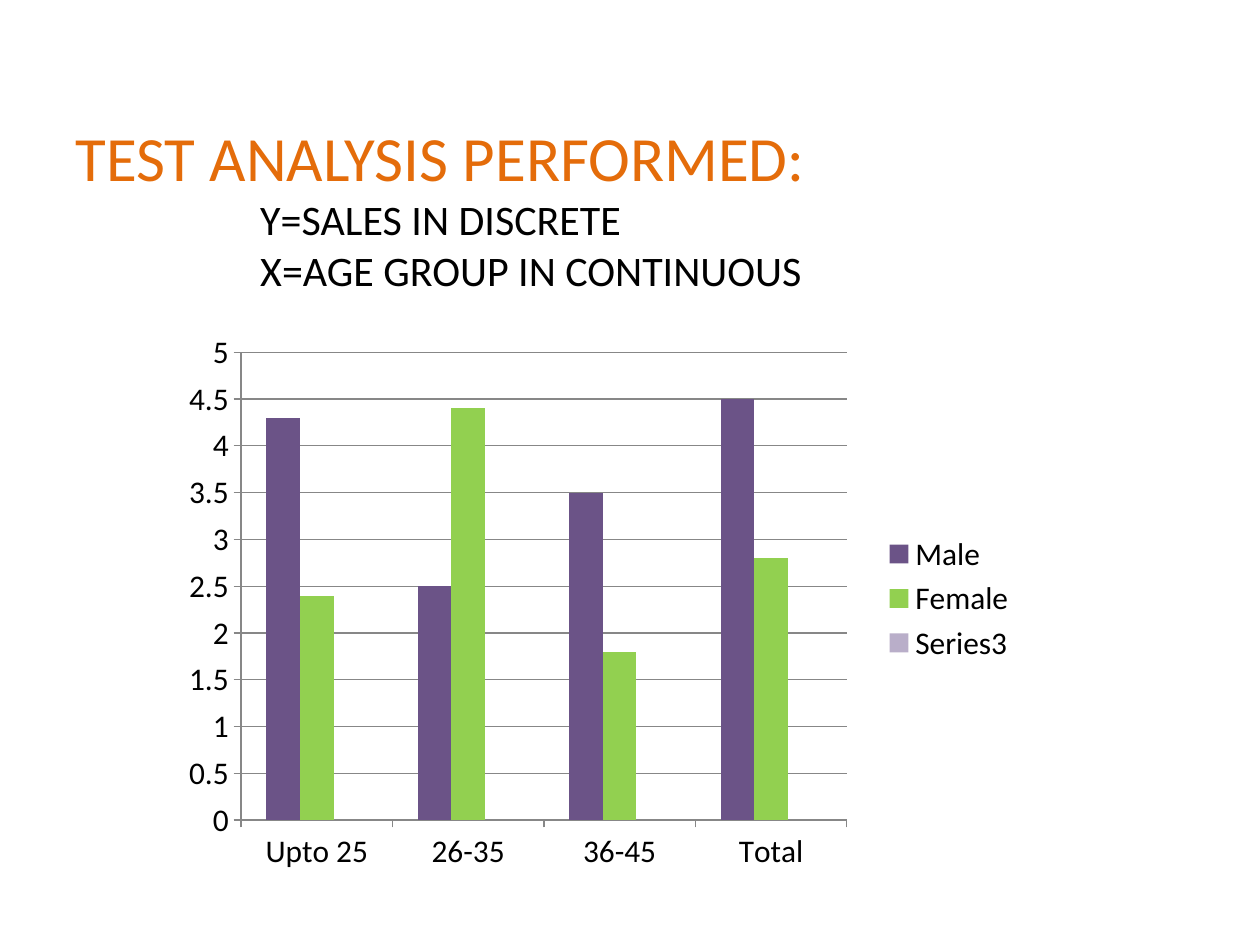
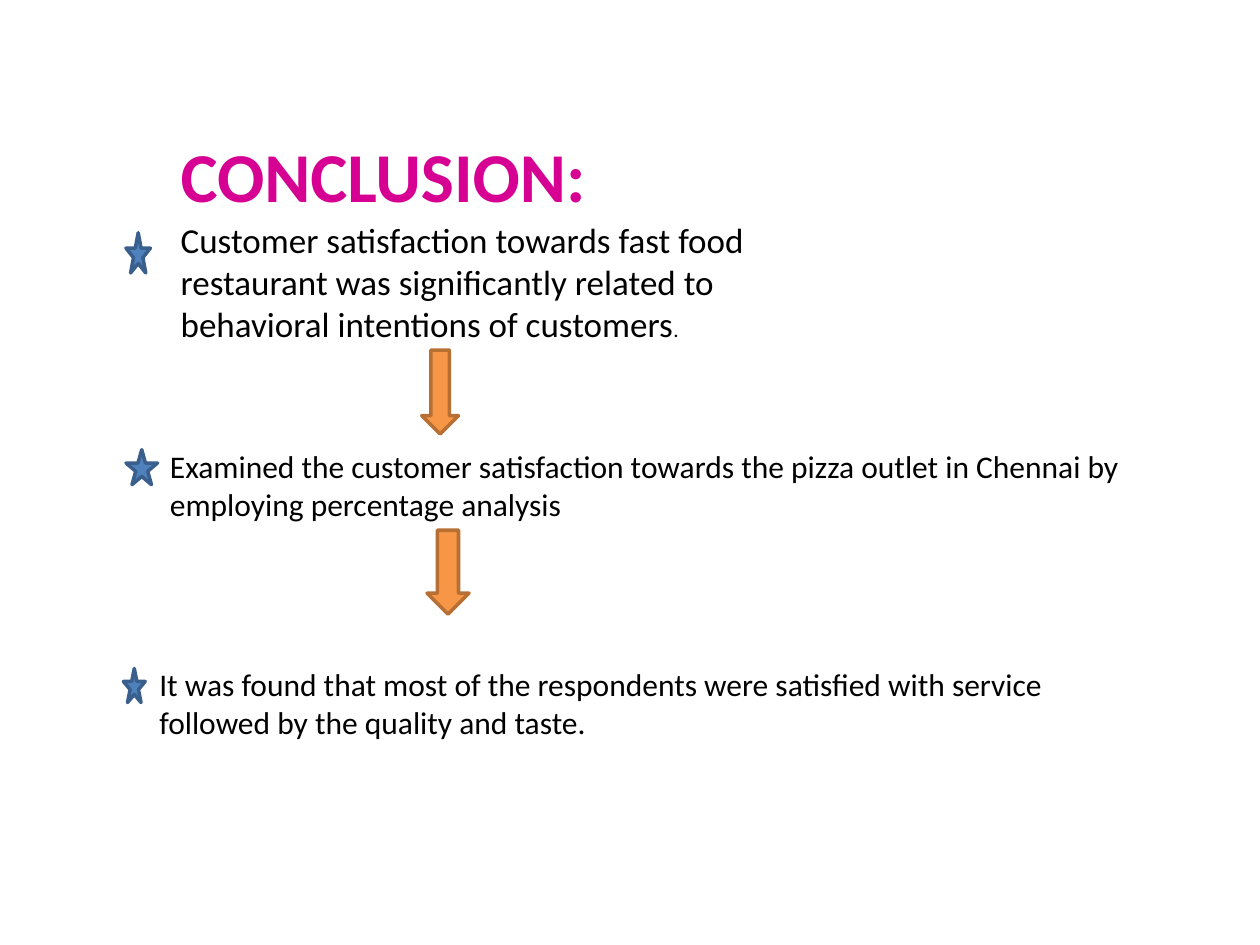
"""Build two slides: a sales chart by age group and a conclusion."""
from dataclasses import dataclass

from lxml.etree import SubElement
from pptx import Presentation
from pptx.chart.data import CategoryChartData
from pptx.dml.color import RGBColor
from pptx.enum.chart import XL_CHART_TYPE, XL_LEGEND_POSITION, XL_TICK_MARK
from pptx.enum.shapes import MSO_SHAPE
from pptx.enum.text import MSO_ANCHOR, MSO_AUTO_SIZE, PP_ALIGN
from pptx.oxml.ns import qn
from pptx.util import Pt

FONT = "Calibri"
INK = {
    "black": "000000", "orange": "E46C0A", "pink": "D60093",
    "male": "6B5387", "female": "92D050", "third": "B9AEC9", "grid": "878787",
    "star": "4F81BD", "star edge": "3A5F8C",
    "arrow": "F79646", "arrow edge": "B76F34",
}


@dataclass(frozen=True)
class Box:
    """A place on a slide, in points."""
    left: float
    top: float
    width: float
    height: float


@dataclass(frozen=True)
class Run:
    """A piece of text in one style."""
    text: str
    size: float
    ink: str = "black"
    bold: bool = False


@dataclass(frozen=True)
class Para:
    """A row of runs with a left indent in points."""
    runs: tuple[Run, ...]
    indent: float = 0


@dataclass(frozen=True)
class Note:
    """A block of text at a place."""
    box: Box
    paras: tuple[Para, ...]


@dataclass(frozen=True)
class Mark:
    """A star or an arrow at a place."""
    kind: str
    box: Box


@dataclass(frozen=True)
class Series:
    """One set of bars."""
    name: str
    values: tuple[float | None, ...]
    ink: str


KINDS = {"star": MSO_SHAPE.STAR_5_POINT, "arrow": MSO_SHAPE.DOWN_ARROW}

TEST = Note(Box(36, 60, 612, 116), (
    Para((Run("TEST ANALYSIS PERFORMED:", 36, "orange"),)),
    Para((Run("Y=SALES IN DISCRETE", 24),), 105.5),
    Para((Run("X=AGE GROUP IN CONTINUOUS", 24),), 105.5),
))
GROUPS = ("Upto 25", "26-35", "36-45", "Total")
SALES = (
    Series("Male", (4.3, 2.5, 3.5, 4.5), "male"),
    Series("Female", (2.4, 4.4, 1.8, 2.8), "female"),
    Series("Series3", (None,) * 4, "third"),
)
PLOT = {"x": 0.057, "y": 0.066, "w": 0.725, "h": 0.825}

CLOSE = Note(Box(96, 72, 354, 56), (Para((Run("CONCLUSION:", 40, "pink", True),)),))
FIRST = Note(Box(96, 121, 354, 80), (Para((
    Run("Customer satisfaction towards fast food restaurant was significantly "
        "related to behavioral intentions of customers", 20),
    Run(".", 12),
)),))
NOTES = (
    Note(Box(90, 252, 564, 51), (
        Para((Run("Examined the customer satisfaction towards the pizza outlet "
                  "in Chennai by", 18),)),
        Para((Run("employing percentage analysis", 18),)),
    )),
    Note(Box(84, 376.5, 537, 51), (
        Para((Run("It was found that most of the respondents were satisfied with "
                  "service followed by the quality and taste.", 18),)),
    )),
)
MARKS = (
    Mark("arrow", Box(241, 200, 21, 48)),
    Mark("star", Box(72, 133, 14, 23)),
    Mark("star", Box(72, 257, 18, 20)),
    Mark("arrow", Box(244, 303, 24, 48)),
    Mark("star", Box(70.5, 382, 12.5, 19.5)),
)


def place(box: Box) -> tuple[Pt, ...]:
    """Give the place of a box as lengths."""
    return Pt(box.left), Pt(box.top), Pt(box.width), Pt(box.height)


def tint(name: str) -> RGBColor:
    """Look up a colour by name."""
    return RGBColor.from_string(INK[name])


def write(shape, note: Note, anchor=MSO_ANCHOR.TOP) -> None:
    """Move a shape to its place and write its text run by run."""
    shape.left, shape.top, shape.width, shape.height = place(note.box)
    frame = shape.text_frame
    frame.auto_size = MSO_AUTO_SIZE.NONE
    frame.word_wrap = True
    frame.vertical_anchor = anchor
    for spot, para in enumerate(note.paras):
        line = frame.add_paragraph() if spot else frame.paragraphs[0]
        line.alignment = PP_ALIGN.LEFT
        line.space_before = Pt(0)
        props = line._p.get_or_add_pPr()
        props.set("marL", str(Pt(para.indent)))
        props.set("indent", "0")
        SubElement(props, qn("a:buNone"))
        for part in para.runs:
            run = line.add_run()
            run.text = part.text
            run.font.name = FONT
            run.font.size = Pt(part.size)
            run.font.bold = part.bold
            run.font.color.rgb = tint(part.ink)


def draw(slide, mark: Mark) -> None:
    """Draw a star or an arrow."""
    shape = slide.shapes.add_shape(KINDS[mark.kind], *place(mark.box))
    shape.shadow.inherit = False
    shape.fill.solid()
    shape.fill.fore_color.rgb = tint(mark.kind)
    shape.line.color.rgb = tint(f"{mark.kind} edge")
    shape.line.width = Pt(2)


def fix(chart) -> None:
    """Pin the inner plot area of a chart."""
    area = chart._chartSpace.chart.plotArea
    for old in area.findall(qn("c:layout")):
        area.remove(old)
    outer = SubElement(area, qn("c:layout"))
    area.insert(0, outer)
    inner = SubElement(outer, qn("c:manualLayout"))
    rules = {"layoutTarget": "inner", "xMode": "edge", "yMode": "edge", **PLOT}
    for key, value in rules.items():
        SubElement(inner, qn(f"c:{key}")).set("val", str(value))


def graph(slide, box: Box) -> None:
    """Add the column chart of sales."""
    data = CategoryChartData()
    data.categories = GROUPS
    for item in SALES:
        data.add_series(item.name, item.values)
    chart = slide.shapes.add_chart(
        XL_CHART_TYPE.COLUMN_CLUSTERED, *place(box), data).chart
    chart.has_title = False
    chart.font.name = FONT
    chart.font.size = Pt(18)
    chart.font.color.rgb = tint("black")
    chart.has_legend = True
    chart.legend.position = XL_LEGEND_POSITION.RIGHT
    chart.legend.include_in_layout = False
    plot = chart.plots[0]
    plot.gap_width = 150
    plot.overlap = 0
    plot.vary_by_categories = False
    for bars, item in zip(plot.series, SALES):
        bars.format.fill.solid()
        bars.format.fill.fore_color.rgb = tint(item.ink)
    scale = chart.value_axis
    scale.minimum_scale, scale.maximum_scale, scale.major_unit = 0, 5, 0.5
    scale.has_major_gridlines = True
    for axis in (scale, chart.category_axis):
        axis.major_tick_mark = XL_TICK_MARK.OUTSIDE
        axis.format.line.color.rgb = tint("grid")
    scale.major_gridlines.format.line.color.rgb = tint("grid")
    fix(chart)


def main() -> None:
    """Build and save both slides."""
    deck = Presentation()
    deck.slide_width, deck.slide_height = Pt(720), Pt(540)

    slide = deck.slides.add_slide(deck.slide_layouts[5])
    write(slide.shapes.title, TEST, MSO_ANCHOR.MIDDLE)
    graph(slide, Box(108, 180, 480, 324))

    slide = deck.slides.add_slide(deck.slide_layouts[1])
    write(slide.shapes.title, CLOSE)
    write(slide.placeholders[1], FIRST)
    for note in NOTES:
        write(slide.shapes.add_textbox(*place(note.box)), note)
    for mark in MARKS:
        draw(slide, mark)

    deck.save("out.pptx")


if __name__ == "__main__":
    main()
